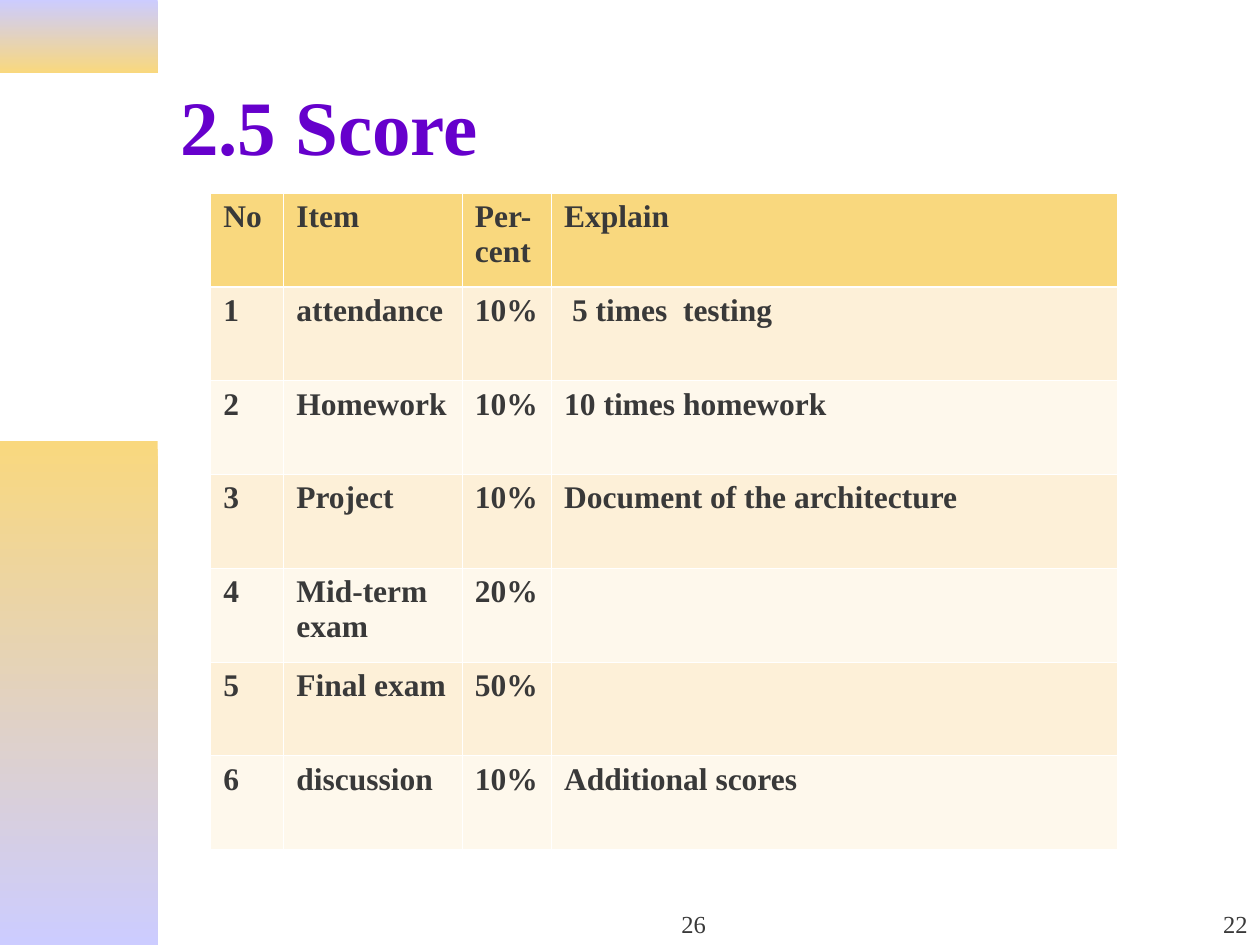
from lxml.etree import SubElement
from pptx import Presentation
from pptx.dml.color import RGBColor
from pptx.enum.shapes import MSO_SHAPE
from pptx.enum.text import MSO_ANCHOR, PP_ALIGN
from pptx.oxml.ns import qn
from pptx.util import Cm, Pt

FONT = "Times New Roman"
PURPLE, INK, WHITE = "6600CC", "393939", "FFFFFF"
GOLD, LAVENDER = "F9D87E", "CCCCFF"
BANDS = ["FDF0D8", "FEF8EC"]

COLUMN_WIDTHS = [1.47, 3.6, 1.8, 11.4]
SCORES = [
    ["No", "Item", "Per-cent", "Explain"],
    ["1", "attendance", "10%", " 5 times  testing"],
    ["2", "Homework", "10%", "10 times homework"],
    ["3", "Project", "10%", "Document of the architecture"],
    ["4", "Mid-term exam", "20%", ""],
    ["5", "Final exam", "50%", ""],
    ["6", "discussion", "10%", "Additional scores"],
]


def color(value):
    return RGBColor.from_string(value)


def add_span(para, text, size, hex_color, bold=False):
    span = para.add_run()
    span.text = text
    span.font.name = FONT
    span.font.size = Pt(size)
    span.font.bold = bold
    span.font.color.rgb = color(hex_color)


def add_text(page, box, text, size, hex_color, align, anchor, bold=False):
    frame = page.shapes.add_textbox(*map(Cm, box)).text_frame
    frame.word_wrap = True
    frame.vertical_anchor = anchor
    para = frame.paragraphs[0]
    para.alignment = align
    add_span(para, text, size, hex_color, bold)


def add_gradient_block(page, box, top_color, bottom_color):
    block = page.shapes.add_shape(MSO_SHAPE.RECTANGLE, *map(Cm, box))
    block.shadow.inherit = False
    block.line.fill.background()
    block.fill.gradient()
    block.fill.gradient_angle = 270
    for stop, value in zip(block.fill.gradient_stops, (top_color, bottom_color)):
        stop.color.rgb = color(value)


def add_sidebar(page, box):
    left, top, width, height = box
    upper, lower = 1.47, 10.16
    add_gradient_block(page, (left, top, width, upper), LAVENDER, GOLD)
    add_gradient_block(page, (left, top + height - lower, width, lower), GOLD, LAVENDER)


def set_borders(cell, widths):
    properties = cell._tc.get_or_add_tcPr()
    for position, (side, width) in enumerate(widths.items()):
        line = SubElement(properties, qn(f"a:{side}"), w=str(Pt(width)))
        fill = SubElement(line, qn("a:solidFill"))
        SubElement(fill, qn("a:srgbClr"), val=WHITE)
        # Borders come before the fill in the cell properties
        properties.insert(position, line)


def add_score_table(page, box):
    table = page.shapes.add_table(len(SCORES), len(COLUMN_WIDTHS), *map(Cm, box)).table
    for column, width in zip(table.columns, COLUMN_WIDTHS):
        column.width = Cm(width)
    for r, row in enumerate(SCORES):
        table.rows[r].height = Cm(box[3] / len(SCORES))
        for c, text in enumerate(row):
            cell = table.cell(r, c)
            cell.fill.solid()
            cell.fill.fore_color.rgb = color(BANDS[(r - 1) % 2] if r else GOLD)
            if text:
                add_span(cell.text_frame.paragraphs[0], text, 18, INK, bold=True)
            # A thicker rule parts the header from the body
            set_borders(cell, {"lnL": 0.45, "lnR": 0.45,
                               "lnT": 1.5 if r == 1 else 0.45,
                               "lnB": 1.5 if r == 0 else 0.45})


def add_footer(page, box):
    left, top, width, height = box
    center, right = 8.05, 5.28
    add_text(page, (left, top, center, height), "26", 14, INK,
             PP_ALIGN.CENTER, MSO_ANCHOR.BOTTOM)
    add_text(page, (left + width - right, top, right, height), "22", 14, INK,
             PP_ALIGN.RIGHT, MSO_ANCHOR.BOTTOM)


def main():
    deck = Presentation()
    deck.slide_width, deck.slide_height = Cm(25.4), Cm(19.05)
    page = deck.slides.add_slide(deck.slide_layouts[6])

    add_sidebar(page, (0, 0, 3.18, 19.05))
    # Title
    add_text(page, (3.38, 0.84, 21.59, 3.35), "2.5 Score", 44, PURPLE,
             PP_ALIGN.LEFT, MSO_ANCHOR.MIDDLE, bold=True)
    add_score_table(page, (4.25, 3.89, sum(COLUMN_WIDTHS), 13.24))
    add_footer(page, (9.96, 17.78, 15.44, 1.27))

    deck.save("out.pptx")


if __name__ == "__main__":
    main()
